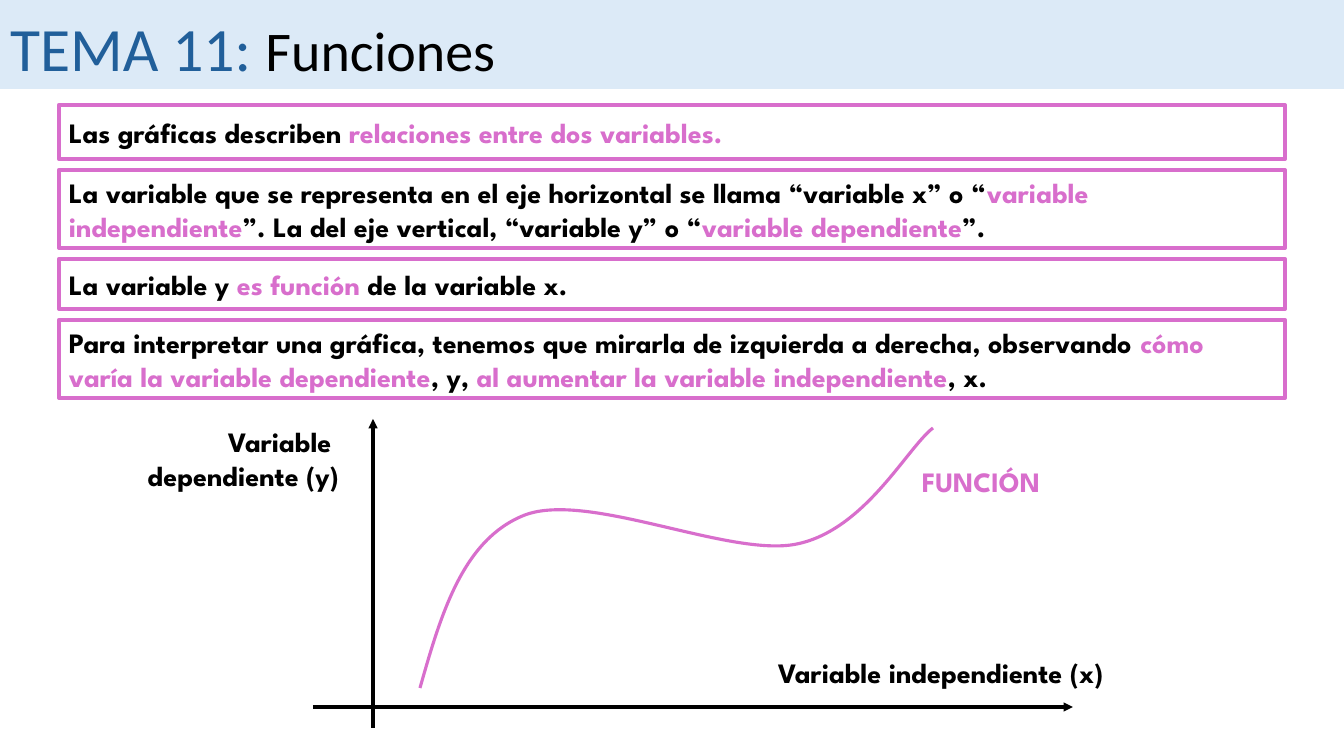
"""Build the slide on functions: four boxed statements above a labelled graph."""
from lxml.etree import SubElement
from pptx import Presentation
from pptx.dml.color import RGBColor
from pptx.enum.shapes import MSO_CONNECTOR as LINK, MSO_SHAPE as SHAPE
from pptx.enum.text import MSO_ANCHOR as ANCHOR, PP_ALIGN as ALIGN
from pptx.oxml.ns import qn
from pptx.util import Pt

PX = 914400 / 100.8
BLACK = RGBColor(0x00, 0x00, 0x00)
PINK = RGBColor(0xD8, 0x6E, 0xCC)
BLUE = RGBColor(0x21, 0x5F, 0x9A)
PALE = RGBColor(0xDC, 0xEA, 0xF7)


def px(*sizes):
    return [round(size * PX) for size in sizes]


def write(para, text, color, size=20, font="League Spartan", bold=True):
    run = para.add_run()
    run.text = text
    run.font.name = font
    run.font.size = Pt(size)
    run.font.bold = bold
    run.font.color.rgb = color


deck = Presentation()
deck.slide_width, deck.slide_height = px(1344, 756)
slide = deck.slides.add_slide(deck.slide_layouts[5])
shapes = slide.shapes

title = shapes.title
title.left, title.top, title.width, title.height = px(0, 0, 1344, 89)
title.fill.solid()
title.fill.fore_color.rgb = PALE
frame = title.text_frame
frame.vertical_anchor = ANCHOR.MIDDLE
frame.margin_top, frame.margin_bottom = px(9, 5)
para = frame.paragraphs[0]
para.alignment = ALIGN.LEFT
write(para, "TEMA 11: ", BLUE, 44, "Calibri", False)
write(para, "Funciones", BLACK, 40, "Calibri", False)

facts = [
    (54, [("Las gráficas describen ", BLACK),
          ("relaciones entre dos variables.", PINK)]),
    (78, [("La variable que se representa en el eje horizontal se llama "
           "“variable x” o “", BLACK),
          ("variable independiente", PINK),
          ("”. La del eje vertical, “variable y” o “", BLACK),
          ("variable dependiente", PINK),
          ("”.", BLACK)]),
    (50, [("La variable y ", BLACK),
          ("es función ", PINK),
          ("de la variable x.", BLACK)]),
    (78, [("Para interpretar una gráfica, tenemos que mirarla de izquierda "
           "a derecha, observando ", BLACK),
          ("cómo varía la variable dependiente", PINK),
          (", y, ", BLACK),
          ("al aumentar la variable independiente", PINK),
          (", x.", BLACK)]),
]
top, gap = 105, 11
for height, runs in facts:
    box = shapes.add_shape(SHAPE.RECTANGLE, *px(59, top, 1226, height))
    box.shadow.inherit = False
    box.fill.background()
    box.line.color.rgb = PINK
    box.line.width = Pt(3)
    frame = box.text_frame
    frame.word_wrap = True
    frame.vertical_anchor = ANCHOR.MIDDLE
    para = frame.paragraphs[0]
    para.alignment = ALIGN.LEFT
    for text, color in runs:
        write(para, text, color)
    top += height + gap

for ends in [(313, 707, 1073, 707), (373, 728, 373, 419)]:
    axis = shapes.add_connector(LINK.STRAIGHT, *px(*ends))
    axis.line.color.rgb = BLACK
    axis.line.width = Pt(2.25)
    SubElement(axis.line._get_or_add_ln(), qn("a:tailEnd"), type="triangle")
    SubElement(axis._element.spPr, qn("a:effectLst"))

points = [(441, 614), (463, 539), (525, 515),
          (589, 491), (730, 558), (797, 544),
          (865, 530), (907, 448), (933, 428)]
pen = shapes.build_freeform(420, 688, scale=PX)
pen.add_line_segments(points, close=False)
curve = pen.convert_to_shape()
curve.shadow.inherit = False
curve.fill.background()
curve.line.color.rgb = PINK
curve.line.width = Pt(2.25)
route = curve._element.find(".//" + qn("a:path"))
steps = route.findall(qn("a:lnTo"))
for start in range(0, len(steps), 3):
    bend = SubElement(route, qn("a:cubicBezTo"))
    for step in steps[start:start + 3]:
        bend.append(step[0])
        route.remove(step)

labels = [
    ((768, 651, 406, 44), ALIGN.LEFT, BLACK, ["Variable independiente (x)"]),
    ((0, 420, 349, 78), ALIGN.RIGHT, BLACK, ["Variable ", "dependiente (y)"]),
    ((865, 460, 232, 44), ALIGN.CENTER, PINK, ["FUNCIÓN"]),
]
for place, align, color, lines in labels:
    frame = shapes.add_textbox(*px(*place)).text_frame
    frame.word_wrap = True
    for index, text in enumerate(lines):
        para = frame.add_paragraph() if index else frame.paragraphs[0]
        para.alignment = align
        write(para, text, color)

deck.save("out.pptx")
